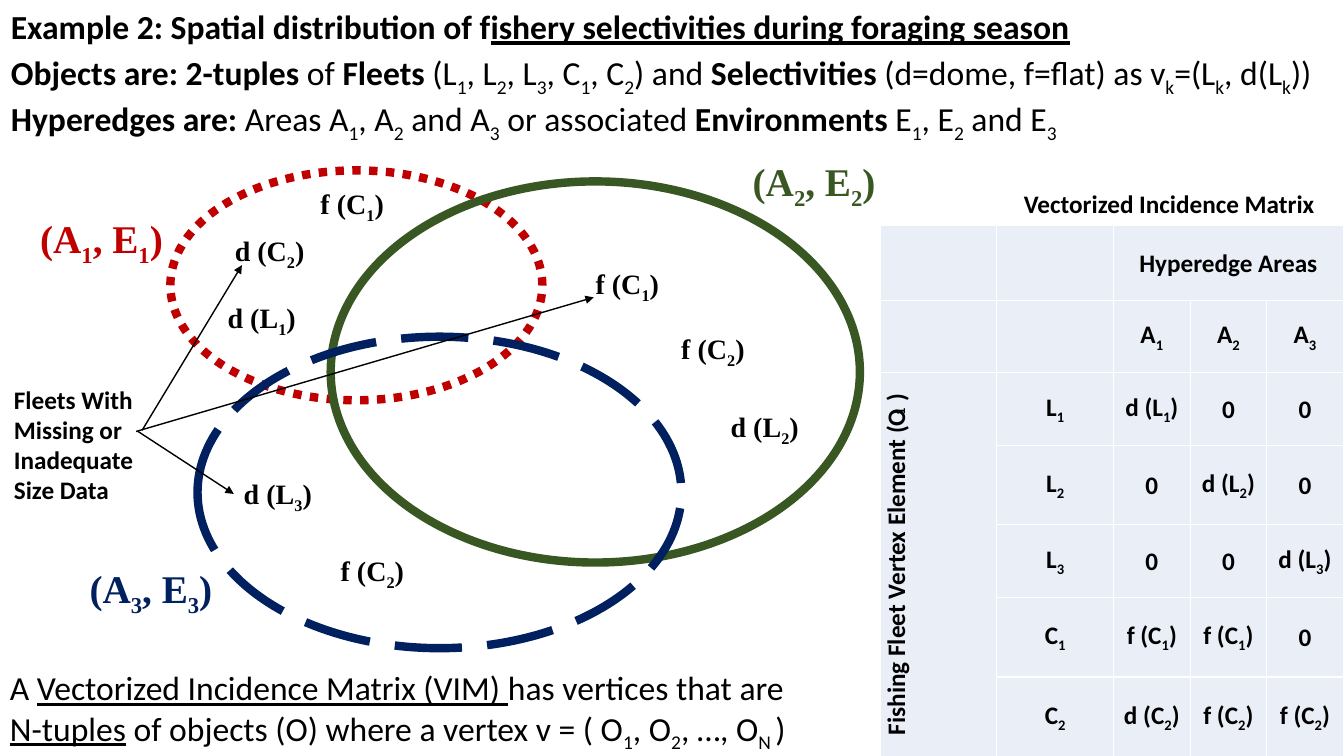
from dataclasses import dataclass
from typing import Optional

import pptx
import pptx.dml.color
import pptx.enum.dml
import pptx.enum.shapes
import pptx.enum.text
import pptx.oxml
import pptx.oxml.ns
import pptx.util
from lxml import etree

Pt = pptx.util.Pt
RGBColor = pptx.dml.color.RGBColor
Align = pptx.enum.text.PP_ALIGN
Dash = pptx.enum.dml.MSO_LINE

BLACK = RGBColor(0x00, 0x00, 0x00)
RED = RGBColor(0xC0, 0x00, 0x00)
GREEN = RGBColor(0x38, 0x57, 0x23)
NAVY = RGBColor(0x00, 0x20, 0x60)
PALE_BLUE = RGBColor(0xEA, 0xEF, 0xF7)
SANS = "Calibri"
SERIF = "Times New Roman"


@dataclass
class Region:
    left: float
    top: float
    width: float
    height: float
    color: RGBColor
    dash: Optional[Dash] = None


@dataclass
class Caption:
    left: float
    top: float
    width: float
    height: float
    lines: list[str]
    size: float = 24
    font: str = SANS
    color: RGBColor = BLACK
    align: Align = Align.LEFT


@dataclass
class Arrow:
    start: tuple[float, float]
    end: tuple[float, float]


REGIONS = [
    Region(121.7, 121.7, 265.7, 164.2, RED, Dash.ROUND_DOT),
    Region(236.2, 129.6, 378, 272.2, GREEN),
    Region(141.1, 240.5, 345.6, 222.5, NAVY, Dash.LONG_DASH),
]
HEADINGS = [
    Caption(701.3, 131, 267.8, 29, ["*Vectorized Incidence Matrix*"], 18, align=Align.CENTER),
    Caption(0.7, 0.7, 953.3, 36,
            ["*Example 2: Spatial distribution of f~ishery selectivities during foraging season~*"]),
    Caption(0.7, 33.8, 959, 65.5, [
        "*Objects are: 2-tuples* of *Fleets* (L_1_, L_2_, L_3_, C_1_, C_2_) and "
        "*Selectivities* (d=dome, f=flat) as v_k_=(L_k_, d(L_k_))",
        "*Hyperedges are: *Areas A_1_, A_2_ and A_3_ or associated "
        "*Environments* E_1_, E_2_ and E_3_",
    ]),
    Caption(2.9, 270.7, 113, 94.3,
            ["*Fleets With*", "*Missing or*", "*Inadequate Size Data*"], 18),
]
ARROWS = [
    Arrow((101.5, 307.4), (172.8, 189.4)),
    Arrow((97.2, 308.2), (424.1, 212.4)),
    Arrow((98.6, 308.2), (167, 352.8)),
]
REGION_NAMES = [
    Caption(left, top, width, 41, [f"*(A_{number}_, E_{number}_)*"], 28, SERIF, color)
    for number, left, top, width, color in [
        (1, 21.6, 149.8, 106.6, RED),
        (2, 530.6, 108.7, 149, GREEN),
        (3, 56.9, 399.6, 108, NAVY),
    ]
]
VERTICES = [
    Caption(left, top, 96, 31.7, [f"*{vertex}*"], 20, SERIF)
    for vertex, left, top in [
        ("d (L_1_)", 155.5, 211),
        ("f (C_1_)", 221.8, 129.6),
        ("d (C_2_)", 160.6, 163.4),
        ("f (C_2_)", 479.5, 233.3),
        ("f (C_1_)", 418.3, 186.5),
        ("d (L_2_)", 514.8, 288.7),
        ("d (L_3_)", 167, 337),
        ("f (C_2_)", 236.2, 391.7),
    ]
]
DEFINITION = Caption(0, 473, 930.2, 65.5, [
    "A ~Vectorized Incidence Matrix (VIM) ~has vertices that are",
    "~N-tuples~ of objects (O) where a vertex v = ( O_1_, O_2_, …, O_N _)",
])

COLUMN_WIDTHS = [83.4, 83.4, 54.7, 54.7, 54.7]
ROW_HEIGHTS = [53.1, 51.8, 51.8, 56.9, 51.8, 56.9, 56.9]
MATRIX = [
    ["", "", "Hyperedge Areas", "", ""],
    ["", "", "A_1_", "A_2_", "A_3_"],
    ["Fishing Fleet Vertex Element (O_1_)", "L_1_", "d (L_1_)", "0", "0"],
    ["", "L_2_", "0", "d (L_2_)", "0"],
    ["", "L_3_", "0", "0", "d (L_3_)"],
    ["", "C_1_", "f (C_1_)", "f (C_1_)", "0"],
    ["", "C_2_", "d (C_2_)", "f (C_2_)", "f (C_2_)"],
]


def write_line(para, markup: str, size: float, font: str, color: RGBColor) -> None:
    """Asterisks mark bold, tildes underline, underscores subscript."""
    for bold, bold_part in enumerate(markup.split("*")):
        for underline, line_part in enumerate(bold_part.split("~")):
            for subscript, text in enumerate(line_part.split("_")):
                if not text:
                    continue
                span = para.add_run()
                span.text = text
                span.font.size = Pt(size)
                span.font.name = font
                span.font.color.rgb = color
                span.font.bold = bold % 2 == 1
                span.font.underline = underline % 2 == 1
                if subscript % 2:
                    span._r.get_or_add_rPr().set("baseline", "-25000")


def draw_region(page, region: Region) -> None:
    oval = page.shapes.add_shape(
        pptx.enum.shapes.MSO_SHAPE.OVAL,
        Pt(region.left), Pt(region.top), Pt(region.width), Pt(region.height))
    oval.shadow.inherit = False
    oval.fill.background()
    oval.line.color.rgb = region.color
    oval.line.width = Pt(6)
    if region.dash is not None:
        oval.line.dash_style = region.dash


def draw_caption(page, caption: Caption) -> None:
    box = page.shapes.add_textbox(
        Pt(caption.left), Pt(caption.top), Pt(caption.width), Pt(caption.height))
    frame = box.text_frame
    frame.word_wrap = True
    frame.auto_size = pptx.enum.text.MSO_AUTO_SIZE.SHAPE_TO_FIT_TEXT
    for index, markup in enumerate(caption.lines):
        para = frame.add_paragraph() if index else frame.paragraphs[0]
        para.alignment = caption.align
        write_line(para, markup, caption.size, caption.font, caption.color)


def draw_arrow(page, arrow: Arrow) -> None:
    connector = page.shapes.add_connector(
        pptx.enum.shapes.MSO_CONNECTOR.STRAIGHT,
        *map(Pt, arrow.start), *map(Pt, arrow.end))
    connector.line.color.rgb = BLACK
    connector.line.width = Pt(1)
    etree.SubElement(connector.line._get_or_add_ln(),
                     pptx.oxml.ns.qn("a:tailEnd"), type="triangle")
    etree.SubElement(connector._element.spPr, pptx.oxml.ns.qn("a:effectLst"))


def style_cell(cell) -> None:
    cell.fill.solid()
    cell.fill.fore_color.rgb = PALE_BLUE
    cell.vertical_anchor = pptx.enum.text.MSO_ANCHOR.MIDDLE
    cell.margin_left = cell.margin_right = cell.margin_top = Pt(0.7)
    cell.margin_bottom = Pt(0)
    properties = cell._tc.get_or_add_tcPr()
    for position, side in enumerate(("lnL", "lnR", "lnT", "lnB")):
        properties.insert(position, pptx.oxml.parse_xml(
            f'<a:{side} {pptx.oxml.ns.nsdecls("a")} w="12700"><a:solidFill>'
            f'<a:srgbClr val="FFFFFF"/></a:solidFill></a:{side}>'))


def draw_matrix(page) -> None:
    table = page.shapes.add_table(
        len(ROW_HEIGHTS), len(COLUMN_WIDTHS), Pt(628.6), Pt(161.3),
        Pt(sum(COLUMN_WIDTHS)), Pt(sum(ROW_HEIGHTS))).table
    table.first_row = False
    table.horz_banding = False
    for column, width in zip(table.columns, COLUMN_WIDTHS):
        column.width = Pt(width)
    for row, height, texts in zip(table.rows, ROW_HEIGHTS, MATRIX):
        row.height = Pt(height)
        for cell, markup in zip(row.cells, texts):
            style_cell(cell)
            para = cell.text_frame.paragraphs[0]
            para.alignment = Align.CENTER
            write_line(para, f"*{markup}*", 18, SANS, BLACK)
    table.cell(0, 2).merge(table.cell(0, 4))
    table.cell(2, 0).merge(table.cell(6, 0))
    table.cell(2, 0)._tc.get_or_add_tcPr().set("vert", "vert270")


def main() -> None:
    deck = pptx.Presentation()
    deck.slide_width = Pt(960)
    deck.slide_height = Pt(540)
    page = deck.slides.add_slide(deck.slide_layouts[6])
    for region in REGIONS:
        draw_region(page, region)
    for caption in HEADINGS:
        draw_caption(page, caption)
    for arrow in ARROWS:
        draw_arrow(page, arrow)
    for caption in REGION_NAMES + VERTICES:
        draw_caption(page, caption)
    draw_matrix(page)
    draw_caption(page, DEFINITION)
    deck.save("out.pptx")


if __name__ == "__main__":
    main()
